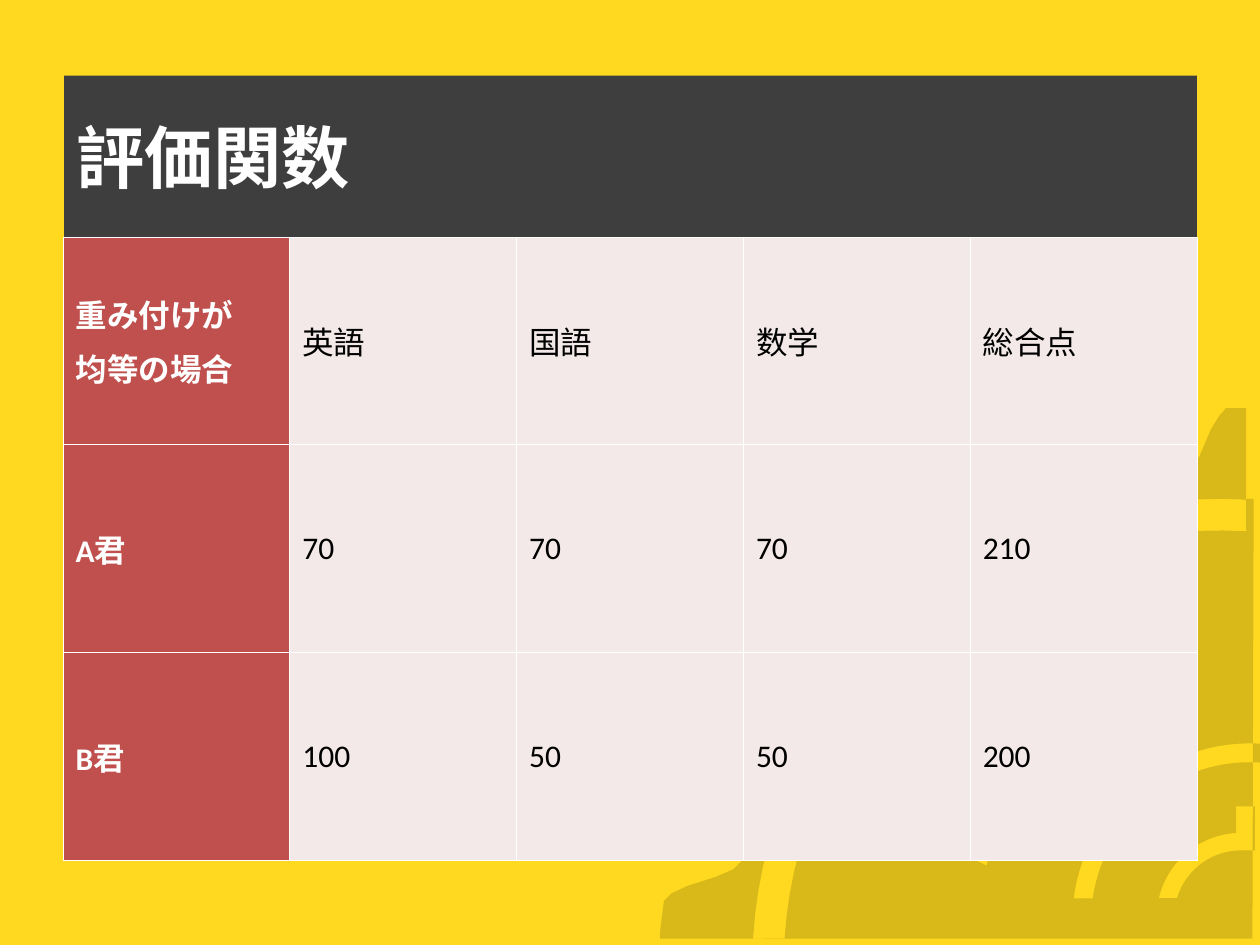
from dataclasses import dataclass
from math import cos, radians, sin

from lxml import etree
from pptx import Presentation
from pptx import util as u
from pptx.dml.color import RGBColor
from pptx.enum import shapes, text
from pptx.oxml.ns import qn

Point = tuple[float, float]


@dataclass(frozen=True)
class Theme:
    background: str = "FFD820"
    gear: str = "D9B919"
    banner: str = "3E3E3E"
    header: str = "C0504D"
    body: str = "F4E9E9"
    light: str = "FFFFFF"
    dark: str = "000000"
    title_font: str = "Arial"
    table_font: str = "Calibri"
    title_size: float = 39
    table_size: float = 18
    line_gap: float = 4.5
    border: float = 0.45


@dataclass(frozen=True)
class Arc:
    x: float
    y: float
    radius: float
    start: float
    end: float

    def points(self, steps: int = 30) -> list[Point]:
        angles = [radians(self.start + (self.end - self.start) * i / steps) for i in range(steps + 1)]
        return [(self.x + self.radius * cos(a), self.y - self.radius * sin(a)) for a in angles]


THEME = Theme()
TITLE = "評価関数"
SCORES = [
    ["重み付けが\n均等の場合", "英語", "国語", "数学", "総合点"],
    ["A君", "70", "70", "70", "210"],
    ["B君", "100", "50", "50", "200"],
]
COLUMN_WIDTH = 1.8
ROW_HEIGHT = 1.65

TEETH = [
    (9.89, 3.24), (9.73, 3.24), (9.67, 3.31), (9.61, 3.41), (9.52, 3.62), (9.42, 3.77), (9.38, 3.79),
    (9.18, 3.82), (9, 3.85), (8.94, 3.83), (8.81, 3.71), (8.66, 3.54), (8.55, 3.44), (8.46, 3.41),
    (8.26, 3.48), (8.05, 3.55), (8, 3.63), (7.97, 3.77), (7.97, 4.05), (7.94, 4.17), (7.91, 4.22),
    (7.75, 4.31), (7.58, 4.41), (7.52, 4.42), (7.36, 4.35), (7.15, 4.25), (7.01, 4.2), (6.92, 4.2),
    (6.74, 4.34), (6.59, 4.49), (6.56, 4.55), (6.6, 4.73), (6.68, 4.94), (6.72, 5.08), (6.71, 5.17),
    (6.59, 5.31), (6.48, 5.47), (6.43, 5.5), (6.24, 5.5), (6.01, 5.48), (5.87, 5.48), (5.79, 5.53),
    (5.68, 5.72), (5.59, 5.91), (5.61, 6.01), (5.7, 6.12), (5.86, 6.28), (5.96, 6.4), (5.98, 6.48),
    (5.93, 6.66), (5.88, 6.84), (5.82, 6.9), (5.68, 6.96), (5.46, 7.03), (5.33, 7.09), (5.27, 7.15),
    (5.24, 7.38), (5.24, 7.45),
]
RIM = [
    (9.94, 7.45), (9.95, 3.96), (9.89, 3.96),
    *Arc(9.68, 7.67, 3.46, 86.5, 176.4).points(),
    *Arc(9.68, 7.67, 3.71, 176.6, 86.75).points(),
    *TEETH,
]
HUB = [
    *Arc(9.85, 7.28, 0.67, 167, 93.4).points(),
    (9.81, 6.4), (9.96, 6.4), (9.96, 6.75),
    *Arc(9.85, 7.28, 0.53, 87, 163.5).points(),
]
INNER_RING = [
    *Arc(9.92, 7.31, 1.41, 172.7, 82.3).points(),
    *Arc(9.92, 7.31, 1.26, 81, 171.8).points(),
]
SPOKES = [
    [(9.42, 5.26), (9.13, 5.35), (9, 4.49)],
    [(8.46, 5.76), (8.29, 5.94), (7.76, 5.23)],
    [(7.89, 6.64), (7.83, 6.87), (7.01, 6.47)],
]


def rgb(value: str) -> RGBColor:
    return RGBColor.from_string(value)


def style(paragraph, font: str, size: float, color: str, bold: bool) -> None:
    paragraph.alignment = text.PP_ALIGN.LEFT
    paragraph.font.name = font
    paragraph.font.size = u.Pt(size)
    paragraph.font.bold = bold
    paragraph.font.color.rgb = rgb(color)


def paint(shape, color: str) -> None:
    shape.shadow.inherit = False
    shape.fill.solid()
    shape.fill.fore_color.rgb = rgb(color)
    shape.line.fill.background()


def draw_gear(slide, contours: list[list[Point]]) -> None:
    builder = None
    for contour in contours:
        start, *rest = [(u.Inches(x), u.Inches(y)) for x, y in contour]
        if builder is None:
            builder = slide.shapes.build_freeform(*start, scale=1.0)
        else:
            builder.move_to(*start)
        builder.add_line_segments(rest, close=True)
    paint(builder.convert_to_shape(), THEME.gear)


def draw_title(slide) -> None:
    banner = slide.shapes.add_shape(
        shapes.MSO_SHAPE.RECTANGLE, u.Inches(0.51), u.Inches(0.6), u.Inches(8.99), u.Inches(1.28)
    )
    paint(banner, THEME.banner)
    banner.text_frame.text = TITLE
    banner.text_frame.vertical_anchor = text.MSO_ANCHOR.MIDDLE
    style(banner.text_frame.paragraphs[0], THEME.title_font, THEME.title_size, THEME.light, True)


def add_borders(cell) -> None:
    properties = cell._tc.get_or_add_tcPr()
    for position, side in enumerate(("a:lnL", "a:lnR", "a:lnT", "a:lnB")):
        line = etree.Element(qn(side), w=str(u.Pt(THEME.border)))
        fill = etree.SubElement(line, qn("a:solidFill"))
        etree.SubElement(fill, qn("a:srgbClr"), val=THEME.light)
        properties.insert(position, line)


def fill_cell(cell, content: str, is_header: bool) -> None:
    cell.text = content
    cell.vertical_anchor = text.MSO_ANCHOR.MIDDLE
    cell.fill.solid()
    cell.fill.fore_color.rgb = rgb(THEME.header if is_header else THEME.body)
    add_borders(cell)
    for index, paragraph in enumerate(cell.text_frame.paragraphs):
        color = THEME.light if is_header else THEME.dark
        style(paragraph, THEME.table_font, THEME.table_size, color, is_header)
        if index:
            paragraph.space_before = u.Pt(THEME.line_gap)


def draw_scores(slide) -> None:
    rows, columns = len(SCORES), len(SCORES[0])
    scores = slide.shapes.add_table(
        rows, columns, u.Inches(0.5), u.Inches(1.88),
        u.Inches(columns * COLUMN_WIDTH), u.Inches(rows * ROW_HEIGHT),
    ).table
    scores.first_row = False
    scores.horz_banding = False
    scores.first_col = True
    for r, row in enumerate(SCORES):
        for c, content in enumerate(row):
            fill_cell(scores.cell(r, c), content, c == 0)


def main() -> None:
    deck = Presentation()
    deck.slide_width, deck.slide_height = u.Inches(10), u.Inches(7.5)
    slide = deck.slides.add_slide(deck.slide_layouts[6])
    slide.background.fill.solid()
    slide.background.fill.fore_color.rgb = rgb(THEME.background)
    draw_gear(slide, [RIM, HUB, *SPOKES, INNER_RING])
    draw_title(slide)
    draw_scores(slide)
    deck.save("out.pptx")


if __name__ == "__main__":
    main()
